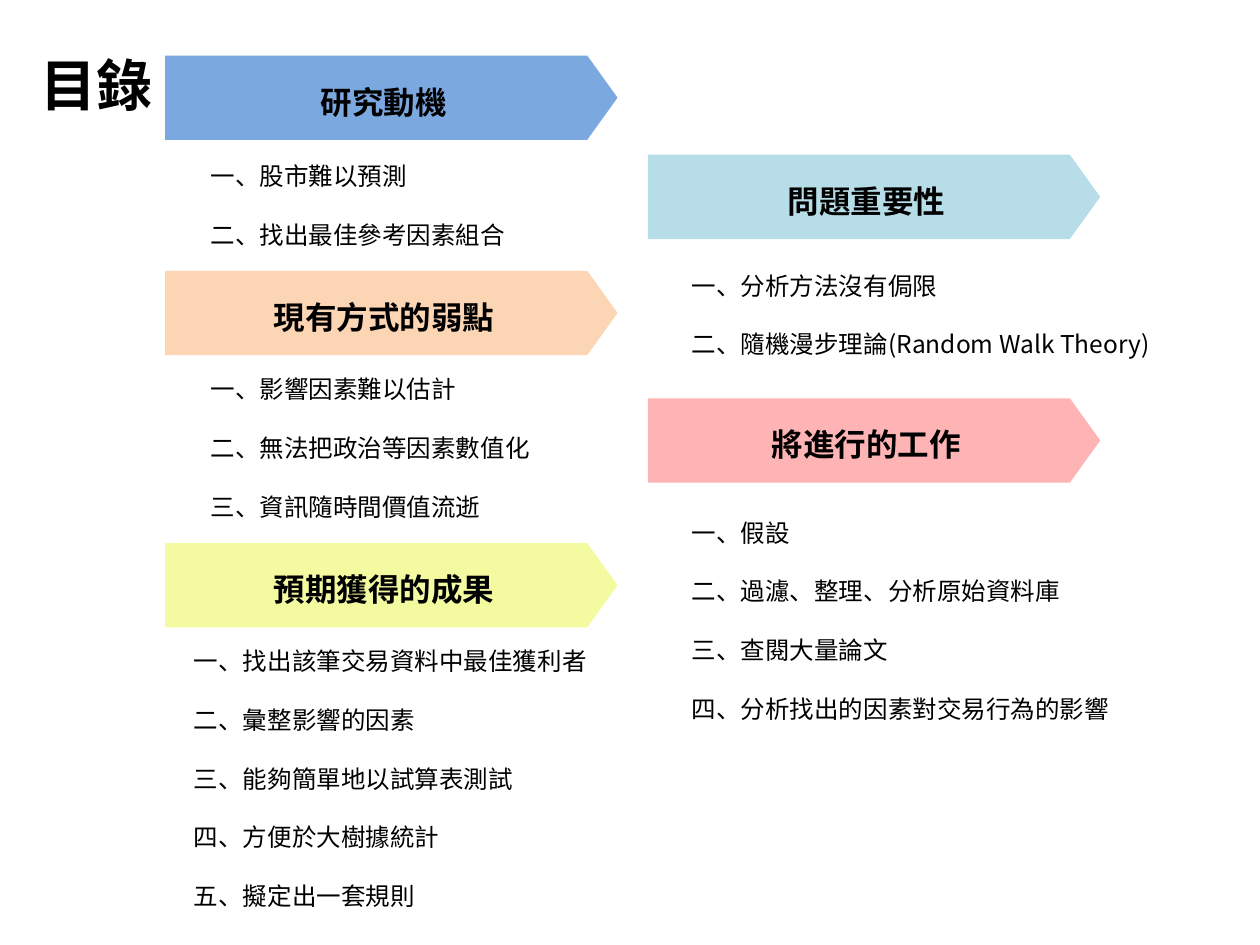
import pptx
import pptx.util
import pptx.dml.color
import pptx.enum.shapes
import pptx.enum.text
import pptx.oxml.ns
from lxml import etree
from pptx.util import Cm, Pt

TEXT = pptx.enum.text


def tint(code):
    return pptx.dml.color.RGBColor.from_string(code)


def tag(name):
    return pptx.oxml.ns.qn(name)


class Deck:
    face = "Noto Sans CJK SC"
    ink = "000000"
    gap = 16.75

    def __init__(self):
        self.show = pptx.Presentation()
        self.show.slide_width, self.show.slide_height = Cm(25.4), Cm(19.05)
        self.slide = self.show.slides.add_slide(self.show.slide_layouts[4])
        self.pool = [p for p in self.slide.placeholders
                     if p.placeholder_format.idx in (1, 2, 3, 4)]

    def place(self, shape, left, top, width, height):
        shape.left, shape.top = Cm(left), Cm(top)
        shape.width, shape.height = Cm(width), Cm(height)

    def style(self, para, size, bold, align):
        para.alignment = align
        font = para.font
        font.name, font.size, font.bold = self.face, Pt(size), bold
        font.color.rgb = tint(self.ink)
        base = para._p.pPr.find(tag("a:defRPr"))
        etree.SubElement(base, tag("a:ea")).set("typeface", self.face)

    def frame(self, shape, anchor, wrap):
        frame = shape.text_frame
        frame.auto_size = TEXT.MSO_AUTO_SIZE.NONE
        frame.vertical_anchor = anchor
        frame.word_wrap = wrap
        return frame

    def title(self, text, *spot):
        shape = self.slide.shapes.title
        self.place(shape, *spot)
        frame = self.frame(shape, TEXT.MSO_ANCHOR.TOP, False)
        frame.text = text
        self.style(frame.paragraphs[0], 32, True, TEXT.PP_ALIGN.LEFT)

    def arrow(self, text, fill, left, top):
        kind = pptx.enum.shapes.MSO_SHAPE.PENTAGON
        shape = self.slide.shapes.add_shape(
            kind, Cm(left), Cm(top), Cm(9.12), Cm(1.7))
        shape.adjustments[0] = 0.36
        shape.shadow.inherit = False
        shape.fill.solid()
        shape.fill.fore_color.rgb = tint(fill)
        shape.line.fill.background()
        frame = self.frame(shape, TEXT.MSO_ANCHOR.MIDDLE, True)
        frame.text = text
        para = frame.paragraphs[0]
        para.line_spacing = 1.2
        self.style(para, 18, True, TEXT.PP_ALIGN.CENTER)

    def items(self, lines, left, top, width):
        if self.pool:
            shape = self.pool.pop(0)
        else:
            shape = self.slide.shapes.add_textbox(0, 0, 0, 0)
        self.place(shape, left, top, width, 0.87 + 1.19 * (len(lines) - 1))
        frame = self.frame(shape, TEXT.MSO_ANCHOR.TOP, False)
        frame.text = "\n".join(lines)
        for rank, para in enumerate(frame.paragraphs):
            props = para._p.get_or_add_pPr()
            props.set("marL", "0")
            props.set("indent", "0")
            etree.SubElement(props, tag("a:buNone"))
            para.space_before = Pt(self.gap if rank else 0)
            self.style(para, 14, False, TEXT.PP_ALIGN.LEFT)


LEFT, RIGHT = 3.33, 13.06
PARTS = [
    ("研究動機", "7BA8DF", LEFT, 1.12, (3.99, 3.12, 6.5),
     ["一、股市難以預測", "二、找出最佳參考因素組合"]),
    ("問題重要性", "B7DEE8", RIGHT, 3.12, (13.69, 5.33, 9.86),
     ["一、分析方法沒有侷限", "二、隨機漫步理論(Random Walk Theory)"]),
    ("現有方式的弱點", "FCD5B5", LEFT, 5.46, (3.99, 7.42, 6.99),
     ["一、影響因素難以估計", "二、無法把政治等因素數值化",
      "三、資訊隨時間價值流逝"]),
    ("將進行的工作", "FEB4B4", RIGHT, 8.03, (13.69, 10.31, 8.99),
     ["一、假設", "二、過濾、整理、分析原始資料庫", "三、查閱大量論文",
      "四、分析找出的因素對交易行為的影響"]),
    ("預期獲得的成果", "F4FAA0", LEFT, 10.95, (3.66, 12.9, 8.48),
     ["一、找出該筆交易資料中最佳獲利者", "二、彙整影響的因素",
      "三、能夠簡單地以試算表測試", "四、方便於大樹據統計",
      "五、擬定出一套規則"]),
]


def main():
    deck = Deck()
    deck.title("目錄", 0.56, 0.89, 2.77, 1.63)
    for name, fill, left, top, spot, lines in PARTS:
        deck.arrow(name, fill, left, top)
        deck.items(lines, *spot)
    deck.show.save("out.pptx")


if __name__ == "__main__":
    main()
